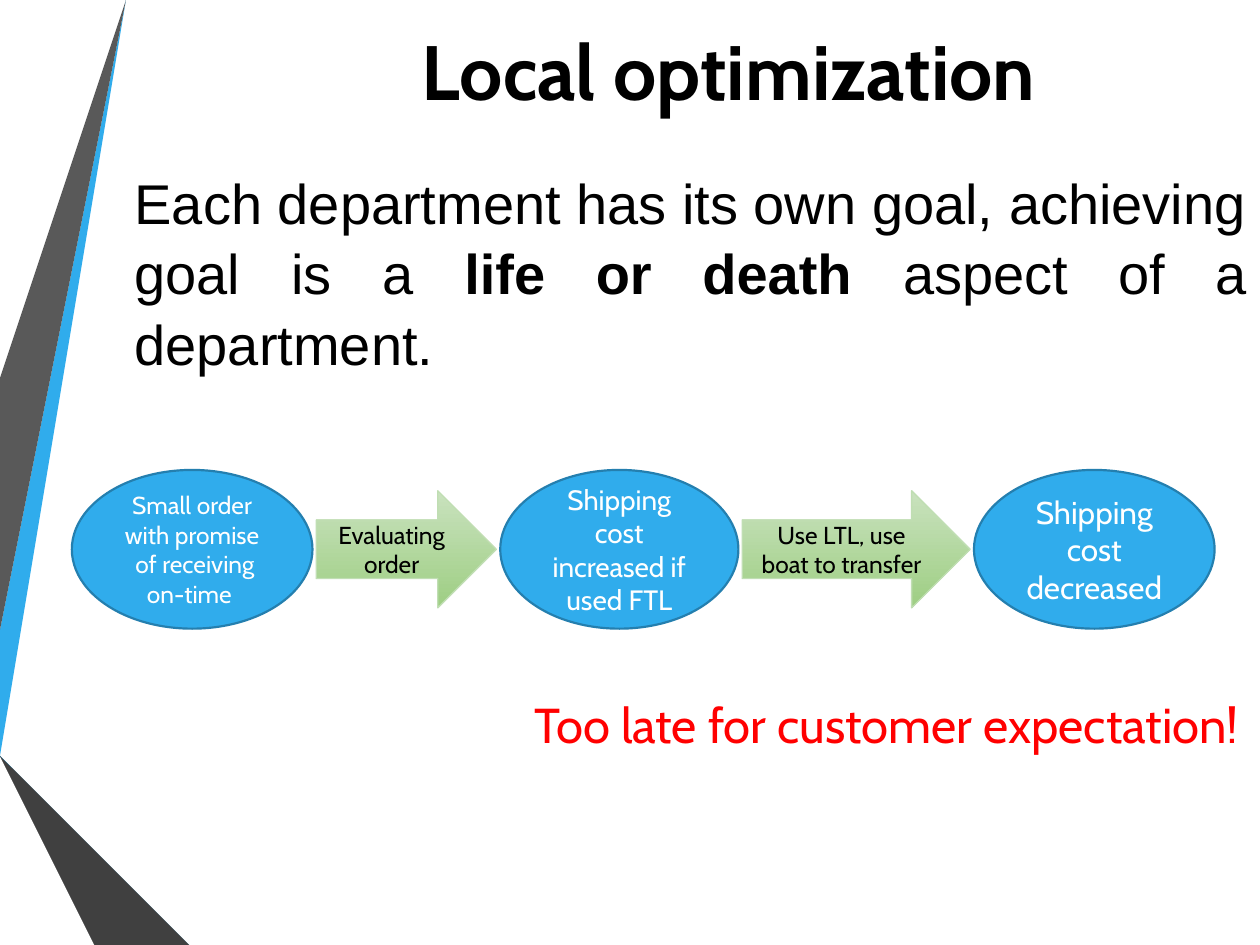
import pptx
import pptx.util
import pptx.dml.color
import pptx.enum.shapes
import pptx.enum.text
from dataclasses import dataclass

Inches = pptx.util.Inches
Pt = pptx.util.Pt
RGB = pptx.dml.color.RGBColor.from_string
Kind = pptx.enum.shapes.MSO_SHAPE
Align = pptx.enum.text.PP_ALIGN
Anchor = pptx.enum.text.MSO_ANCHOR


@dataclass(frozen=True)
class Theme:
    heading_font: str = "Cabin"
    body_font: str = "Arial"
    ink: str = "000000"
    white: str = "FFFFFF"
    warning: str = "FF0000"
    blue: str = "30ACEC"
    blue_edge: str = "247FAF"
    green_top: str = "C9E2BE"
    green_bottom: str = "9ECE83"
    green_edge: str = "C0DEB3"
    title_size: int = 44
    body_size: int = 32
    warning_size: int = 28
    action_size: int = 14


THEME = Theme()
WIDTH, HEIGHT = 10, 7.5

TITLE = "Local optimization"
GOAL = [
    ("Each department has its own goal, achieving goal is a ", False),
    ("life or death ", True),
    ("aspect of a department.", False),
]
WARNING = "Too late for customer expectation!"

FLOW = [
    ("state", 1.91, 14, ["Small order with promise", " of receiving on-time "]),
    ("action", 1.43, THEME.action_size, ["Evaluating order"]),
    ("state", 1.89, 16, ["Shipping cost increased if used FTL"]),
    ("action", 1.81, THEME.action_size, ["Use LTL, use boat to transfer"]),
    ("state", 1.91, 18, ["Shipping cost decreased"]),
]
FLOW_LEFT, FLOW_MIDDLE, FLOW_GAP = 0.57, 4.36, 0.03
FLOW_HEIGHTS = {"state": 1.26, "action": 0.93}

RIBBONS = [
    (THEME.blue, [(0, 5.44), (0, 5.75), (0.22, 5.79), (1.17, 0), (0.89, 0)]),
    ("595959", [(0.83, 0), (0.55, 0), (0, 3.36), (0, 5.06)]),
    ("262626", [(0, 6.19), (0, 6.21), (0.93, HEIGHT), (0.99, HEIGHT)]),
    ("0C5A82", [(0, 5.79), (0, 5.8), (1.56, HEIGHT), (1.63, HEIGHT)]),
    ("1287C3", [(0, 5.79), (1.63, HEIGHT), (2.33, HEIGHT), (0.22, 5.79), (0, 5.75)]),
    ("404040", [(0, 6.19), (0.99, HEIGHT), (1.51, HEIGHT), (0, 5.86)]),
]


def box(left, top, width, height):
    return [Inches(n) for n in (left, top, width, height)]


def add_run(paragraph, words, size, color, font=THEME.heading_font, bold=False):
    run = paragraph.add_run()
    run.text = words
    run.font.name = font
    run.font.size = Pt(size)
    run.font.bold = bold
    run.font.color.rgb = RGB(color)


def add_ribbon(slide, color, points):
    outline = slide.shapes.build_freeform(*points[0], scale=Inches(1))
    outline.add_line_segments(points[1:], close=True)
    ribbon = outline.convert_to_shape()
    ribbon.shadow.inherit = False
    ribbon.fill.solid()
    ribbon.fill.fore_color.rgb = RGB(color)
    ribbon.line.fill.background()


def add_step(slide, role, left, width, size, lines):
    is_state = role == "state"
    height = FLOW_HEIGHTS[role]
    step = slide.shapes.add_shape(
        Kind.OVAL if is_state else Kind.RIGHT_ARROW,
        *box(left, FLOW_MIDDLE - height / 2, width, height))
    step.shadow.inherit = False
    if is_state:
        step.fill.solid()
        step.fill.fore_color.rgb = RGB(THEME.blue)
    else:
        step.fill.gradient()
        step.fill.gradient_angle = 270
        shades = (THEME.green_top, THEME.green_bottom)
        for stop, position, shade in zip(step.fill.gradient_stops, (0, 1), shades):
            stop.position = position
            stop.color.rgb = RGB(shade)
    step.line.color.rgb = RGB(THEME.blue_edge if is_state else THEME.green_edge)
    step.line.width = Pt(1.25 if is_state else 0.75)
    frame = step.text_frame
    frame.word_wrap = True
    frame.vertical_anchor = Anchor.MIDDLE
    for index, words in enumerate(lines):
        paragraph = frame.add_paragraph() if index else frame.paragraphs[0]
        paragraph.alignment = Align.CENTER
        add_run(paragraph, words, size, THEME.white if is_state else THEME.ink)


def add_text(slide, area, alignment):
    frame = slide.shapes.add_textbox(*box(*area)).text_frame
    frame.word_wrap = True
    frame.auto_size = pptx.enum.text.MSO_AUTO_SIZE.SHAPE_TO_FIT_TEXT
    frame.paragraphs[0].alignment = alignment
    return frame.paragraphs[0]


def main():
    deck = pptx.Presentation()
    deck.slide_width, deck.slide_height = Inches(WIDTH), Inches(HEIGHT)
    slide = deck.slides.add_slide(deck.slide_layouts.get_by_name("Title Only"))

    for color, points in RIBBONS:
        add_ribbon(slide, color, points)

    title = slide.shapes.title
    title.left, title.top, title.width, title.height = box(1.57, 0, WIDTH - 1.57, 1.11)
    title.text_frame.auto_size = pptx.enum.text.MSO_AUTO_SIZE.NONE
    title.text_frame.vertical_anchor = Anchor.MIDDLE
    heading = title.text_frame.paragraphs[0]
    heading.alignment = Align.CENTER
    add_run(heading, TITLE, THEME.title_size, THEME.ink, bold=True)

    goal = add_text(slide, (0.97, 1.26, WIDTH - 0.97, 1.72), Align.JUSTIFY)
    goal.line_spacing = 1.05
    for words, bold in GOAL:
        add_run(goal, words, THEME.body_size, THEME.ink, THEME.body_font, bold)

    left = FLOW_LEFT
    for role, width, size, lines in FLOW:
        add_step(slide, role, left, width, size, lines)
        left += width + FLOW_GAP

    warning = add_text(slide, (4.14, 5.46, 5.84, 0.57), Align.LEFT)
    add_run(warning, WARNING, THEME.warning_size, THEME.warning)

    deck.save("out.pptx")


if __name__ == "__main__":
    main()
